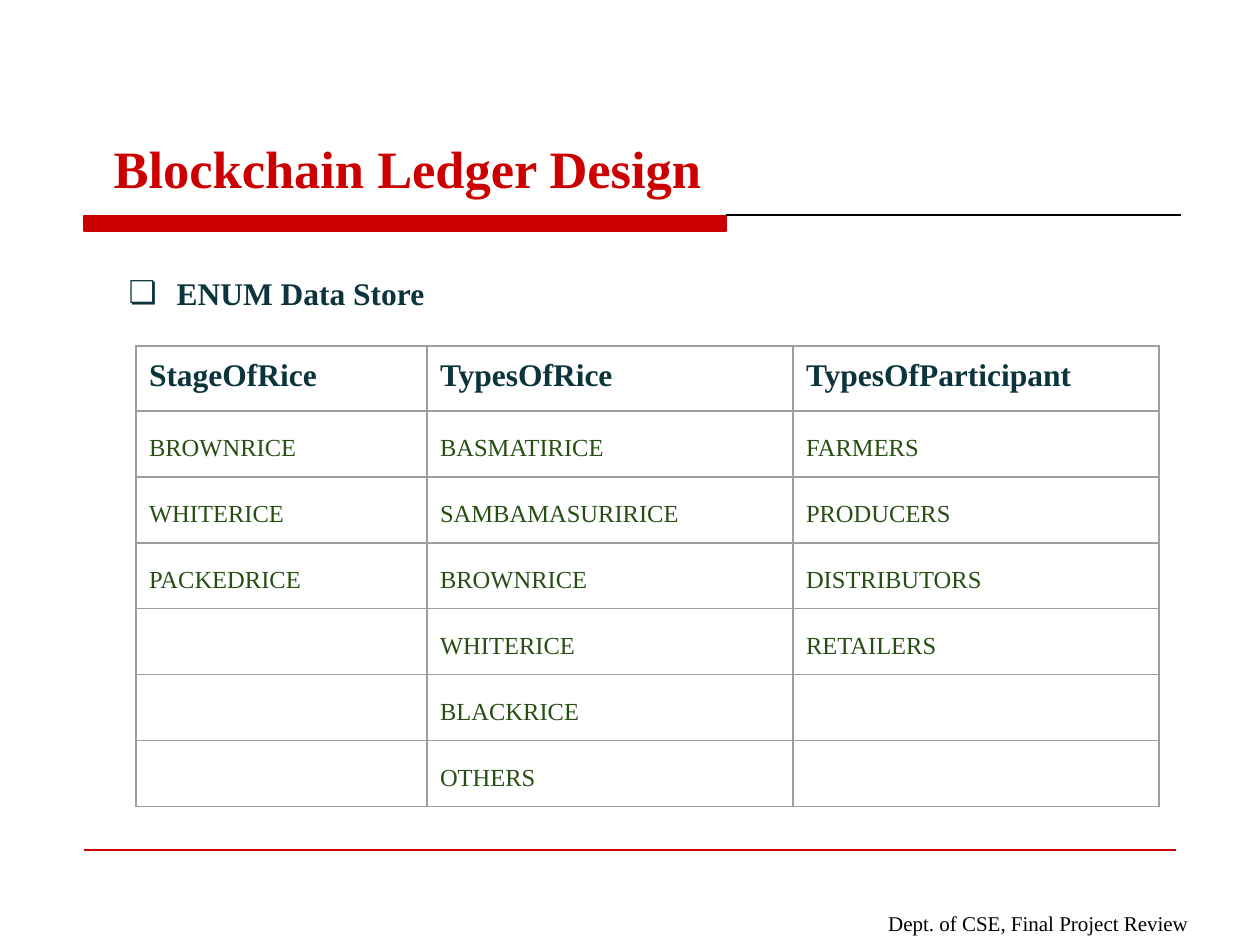
from lxml.etree import SubElement
from pptx import Presentation
from pptx.dml.color import RGBColor
from pptx.enum.shapes import MSO_CONNECTOR, MSO_SHAPE
from pptx.enum.text import MSO_ANCHOR, MSO_AUTO_SIZE, PP_ALIGN
from pptx.oxml import parse_xml
from pptx.oxml.ns import nsdecls, qn
from pptx.util import Emu, Pt

SCALE = 914400 / 126
FONT = "Times New Roman"
COLORS = {"red": "CC0000", "dark": "0C343D", "green": "274E13",
          "grey": "9E9E9E", "black": "000000"}


def px(*nums):
    return [Emu(round(n * SCALE)) for n in nums]


def write(para, text, size, color, bold=False):
    run = para.add_run()
    run.text = text
    font = run.font
    font.name, font.size, font.bold = FONT, Pt(size), bold
    font.color.rgb = RGBColor.from_string(COLORS[color])


deck = Presentation()
deck.slide_width, deck.slide_height = px(1260, 945)
slide = deck.slides.add_slide(deck.slide_layouts[1])
shapes = slide.shapes
title, body = slide.placeholders

# Red bar under the title
bar = shapes.add_shape(MSO_SHAPE.RECTANGLE, *px(84, 216, 642, 15))
bar.shadow.inherit = False
bar.fill.solid()
bar.fill.fore_color.rgb = RGBColor.from_string(COLORS["red"])
bar.line.color.rgb = RGBColor.from_string(COLORS["red"])
bar.line.width = Pt(0.75)

# Thin rules
for left, right, y, color in [(726, 1181, 215, "black"), (84, 1176, 850, "red")]:
    rule = shapes.add_connector(MSO_CONNECTOR.STRAIGHT, *px(left, y, right, y))
    rule.line.color.rgb = RGBColor.from_string(COLORS[color])
    rule.line.width = Pt(0.75)
    SubElement(rule._element.spPr, qn("a:effectLst"))

# Title
title.left, title.top, title.width, title.height = px(101, 107, 1060, 98)
frame = title.text_frame
frame.auto_size = MSO_AUTO_SIZE.NONE
frame.vertical_anchor = MSO_ANCHOR.BOTTOM
para = frame.paragraphs[0]
para.alignment = PP_ALIGN.LEFT
write(para, "Blockchain Ledger Design", 30, "red", True)

# Bulleted heading
body.left, body.top, body.width, body.height = px(101, 251, 1060, 619)
frame = body.text_frame
frame.auto_size = MSO_AUTO_SIZE.NONE
para = frame.paragraphs[0]
para.line_spacing = 1.43
para.space_before = Pt(6)
write(para, "ENUM Data Store", 18, "dark", True)
props = para._p.get_or_add_pPr()
margin, indent = px(63, -48)
props.set("marL", str(margin))
props.set("indent", str(indent))
tint = SubElement(props, qn("a:buClr"))
SubElement(tint, qn("a:srgbClr"), val=COLORS["dark"])
SubElement(props, qn("a:buChar"), char="❏")

# Footer
foot = shapes.add_textbox(*px(822, 898, 438, 55))
frame = foot.text_frame
frame.word_wrap = True
frame.margin_left, frame.margin_top, frame.margin_right, frame.margin_bottom = px(13, 13, 13, 13)
para = frame.paragraphs[0]
para.alignment = PP_ALIGN.CENTER
write(para, "Dept. of CSE, Final Project Review ", 12, "black")

# Table of enum values
ROWS = [
    ["StageOfRice", "TypesOfRice", "TypesOfParticipant"],
    ["BROWNRICE", "BASMATIRICE", "FARMERS"],
    ["WHITERICE", "SAMBAMASURIRICE", "PRODUCERS"],
    ["PACKEDRICE", "BROWNRICE", "DISTRIBUTORS"],
    ["", "WHITERICE", "RETAILERS"],
    ["", "BLACKRICE", ""],
    ["", "OTHERS", ""],
]
WIDTHS = [291, 366, 366]
HIGHS = [65] + [64] * 6
grid = shapes.add_table(len(ROWS), len(WIDTHS), *px(136, 346, sum(WIDTHS), sum(HIGHS))).table
grid.first_row = grid.horz_banding = False
for col, width in zip(grid.columns, px(*WIDTHS)):
    col.width = width
for row, high in zip(grid.rows, px(*HIGHS)):
    row.height = high

for r, row in enumerate(ROWS):
    for c, text in enumerate(row):
        cell = grid.cell(r, c)
        cell.margin_left, cell.margin_top, cell.margin_right, cell.margin_bottom = px(13, 12, 13, 12)
        for side in "LRTB":
            cell._tc.get_or_add_tcPr().append(parse_xml(
                f'<a:ln{side} {nsdecls("a")} w="{Pt(0.75)}"><a:solidFill>'
                f'<a:srgbClr val="{COLORS["grey"]}"/></a:solidFill></a:ln{side}>'))
        cell.fill.background()
        para = cell.text_frame.paragraphs[0]
        if r == 0:
            write(para, text, 18, "dark", True)
        elif text:
            para.line_spacing = 1.43
            write(para, text, 14, "green")

deck.save("out.pptx")
